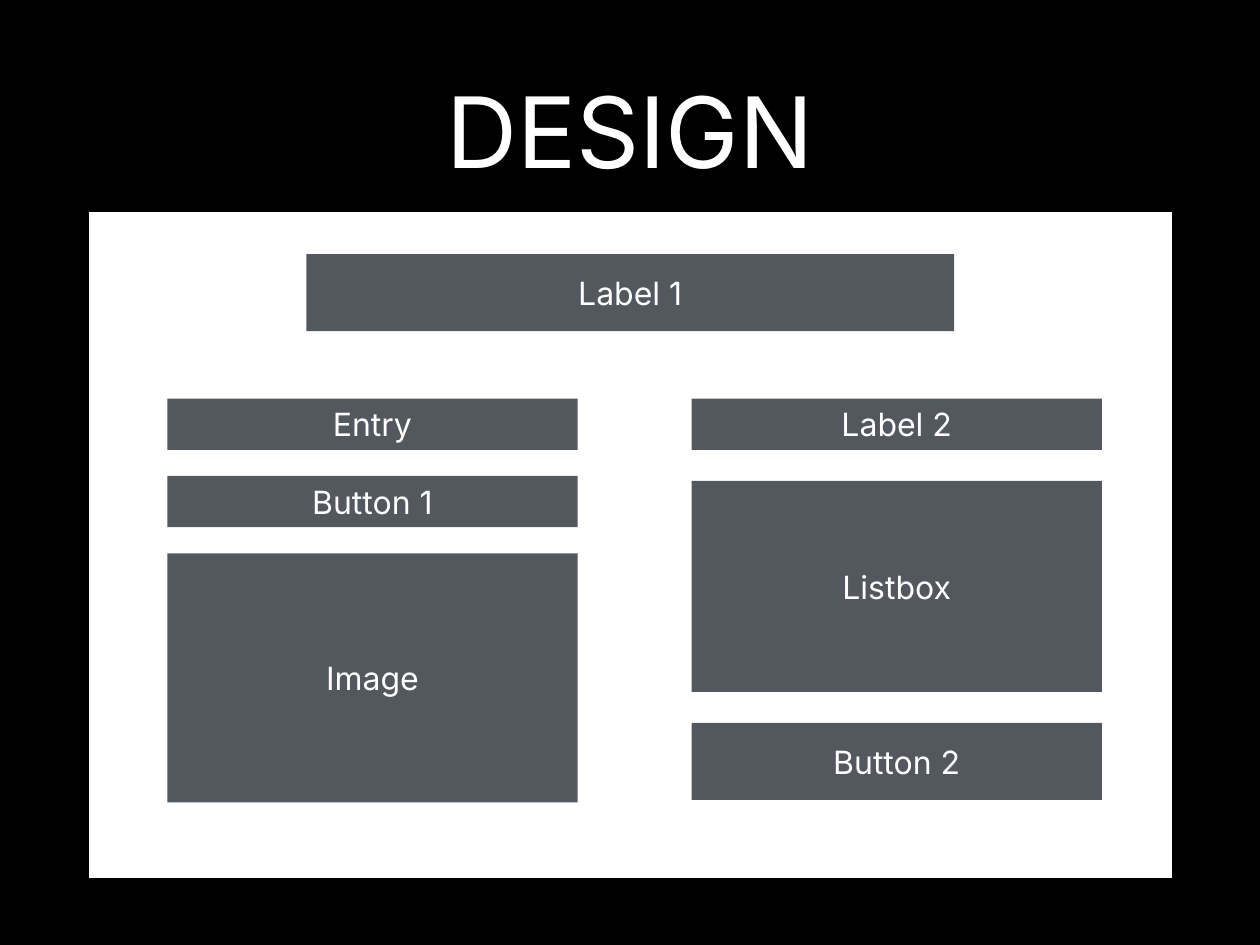
from pptx import Presentation
from pptx import util as u
from pptx.dml import color
from pptx.enum import shapes, text

FONT = "Inter"
WHITE, BLACK, GREY = "FFFFFF", "000000", "53585F"


def paint(target, value):
    """Give a fill a solid colour from a hex string."""
    target.solid()
    target.fore_color.rgb = color.RGBColor.from_string(value)


def write(shape, words, size):
    """Write one centred white line into a shape."""
    frame = shape.text_frame
    frame.word_wrap = True
    frame.auto_size = text.MSO_AUTO_SIZE.NONE
    frame.vertical_anchor = text.MSO_ANCHOR.MIDDLE
    frame.margin_left = frame.margin_right = u.Cm(0.14)
    frame.margin_top = frame.margin_bottom = u.Cm(0.14)
    para = frame.paragraphs[0]
    para.alignment = text.PP_ALIGN.CENTER
    span = para.add_run()
    span.text = words
    span.font.name = FONT
    span.font.size = u.Pt(size)
    paint(span.font.fill, WHITE)


def add_block(page, box, fill):
    """Add a plain rectangle without an outline or shadow."""
    block = page.shapes.add_shape(
        shapes.MSO_SHAPE.RECTANGLE, *(u.Cm(length) for length in box))
    block.shadow.inherit = False
    paint(block.fill, fill)
    block.line.fill.background()
    return block


def add_widget(page, box, label):
    """Add one labelled grey widget."""
    write(add_block(page, box, GREY), label, 26)


def add_title(page, box, words):
    """Place and fill the title placeholder."""
    title = page.shapes.title
    title.left, title.top, title.width, title.height = map(u.Cm, box)
    write(title, words, 80)


def add_column(page, box, gap, widgets):
    """Stack widgets of given heights downwards with an equal gap."""
    left, top, width = box
    for label, height in widgets:
        add_widget(page, (left, top, width, height), label)
        top += height + gap


def add_window(page, box):
    """Draw the window panel with its header and two columns."""
    left, top, width, height = box
    panel = add_block(page, box, WHITE)
    paint(panel.line.fill, BLACK)
    panel.line.width = u.Pt(2)
    header = 18.57
    add_widget(page, (left + (width - header) / 2, top + 1.24, header, 2.21),
               "Label 1")
    add_column(page, (left + 2.29, top + 5.38, 11.76), 0.75,
               [("Entry", 1.47), ("Button 1", 1.47), ("Image", 7.14)])
    add_column(page, (left + 17.32, top + 5.38, 11.76), 0.89,
               [("Label 2", 1.47), ("Listbox", 6.05), ("Button 2", 2.21)])


def main():
    """Build the design slide and save it."""
    deck = Presentation()
    deck.slide_width, deck.slide_height = u.Cm(36.12), u.Cm(27.1)
    page = deck.slides.add_slide(deck.slide_layouts.get_by_name("Title Only"))
    paint(page.background.fill, BLACK)
    add_title(page, (2.64, 0.71, 30.84, 5.99), "DESIGN")
    add_window(page, (2.51, 6.05, 31.12, 19.18))
    deck.save("out.pptx")


if __name__ == "__main__":
    main()
